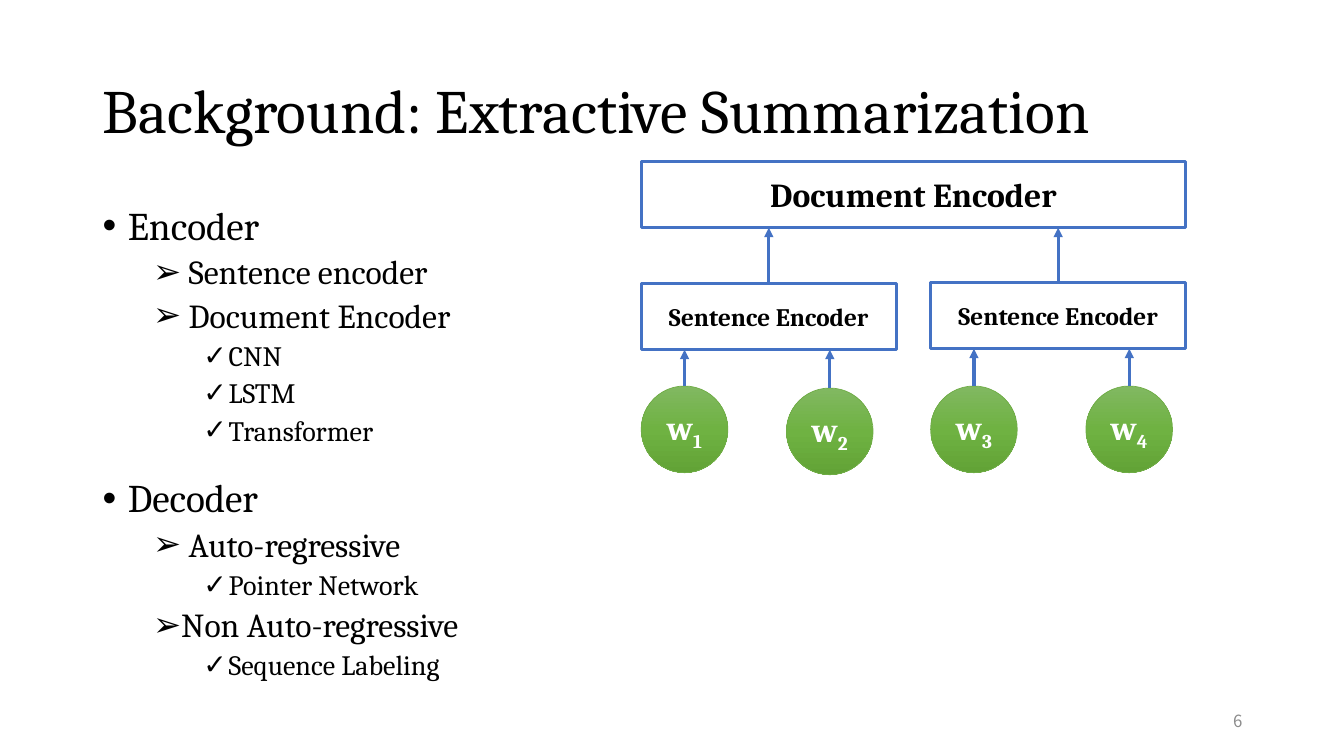
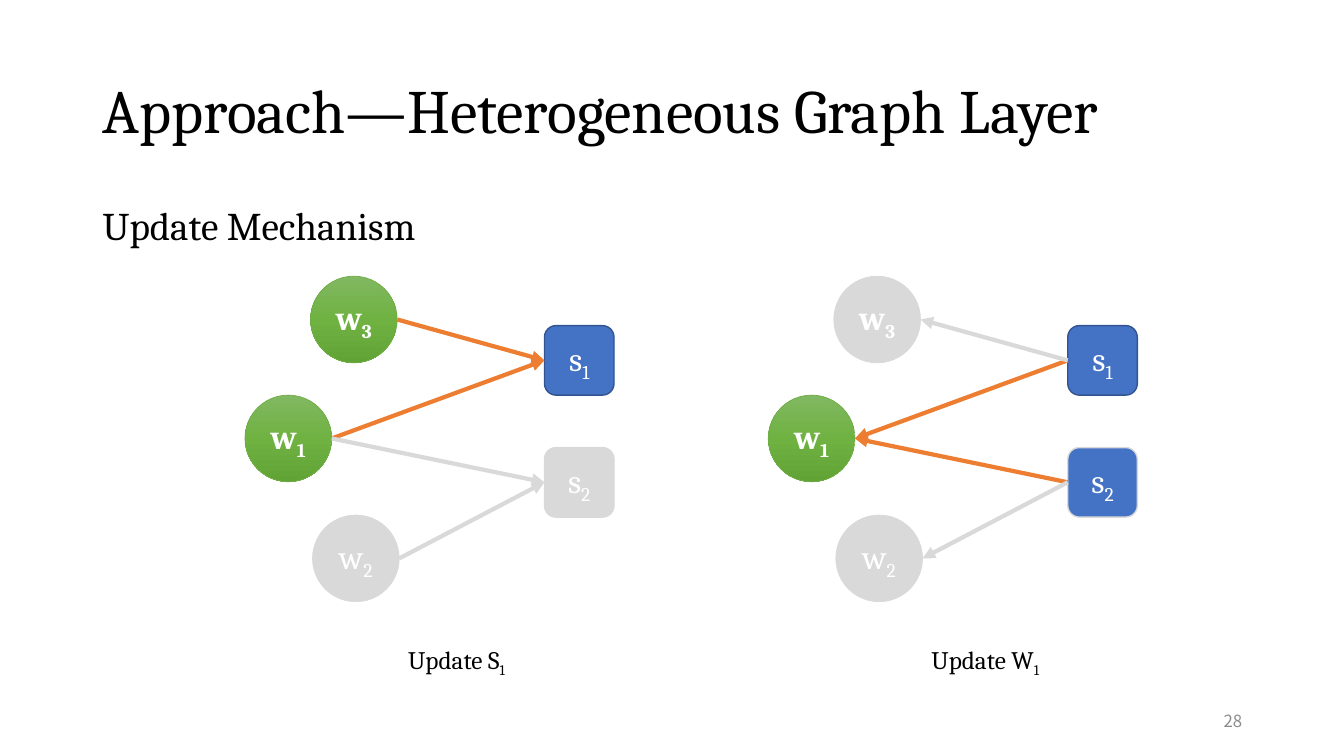
from copy import deepcopy

from lxml.etree import SubElement
from pptx import Presentation
from pptx.dml.color import RGBColor
from pptx.enum.shapes import MSO_CONNECTOR as Connector, MSO_SHAPE as Shape
from pptx.enum.text import MSO_ANCHOR as Anchor, PP_ALIGN as Align
from pptx.oxml.ns import qn
from pptx.util import Inches, Pt

# Shared style
BLACK = RGBColor(0x00, 0x00, 0x00)
WHITE = RGBColor(0xFF, 0xFF, 0xFF)
BLUE = RGBColor(0x44, 0x72, 0xC4)
DARK_BLUE = RGBColor(0x32, 0x54, 0x91)
GREEN = RGBColor(0x70, 0xAD, 0x47)
ORANGE = RGBColor(0xED, 0x7D, 0x31)
PALE = RGBColor(0xD9, 0xD9, 0xD9)
GREY = RGBColor(0x8C, 0x8C, 0x8C)
GREEN_STOPS = [
    (0, RGBColor(0x81, 0xB8, 0x61)),
    (0.5, RGBColor(0x6F, 0xB2, 0x42)),
    (1, RGBColor(0x62, 0xA3, 0x36)),
]
SERIF, SANS = "Cambria", "Noto Sans CJK SC"
MARGIN, CONTENT_WIDTH = 0.92, 11.5
WORD_SIZE, SENTENCE_SIZE = 0.86, 0.69

# Outline levels: bullet, left indent, text size, space before
LEVELS = [("•", 0.25, 28, 10), ("➢", 0.75, 24, 5), ("✓", 1.25, 20, 5)]

# Slide 1 content
ENCODER_OUTLINE = [
    (0, "Encoder"), (1, " Sentence encoder"), (1, " Document Encoder"),
    (2, "CNN"), (2, "LSTM"), (2, "Transformer"),
]
DECODER_OUTLINE = [
    (0, "Decoder"), (1, " Auto-regressive"), (2, "Pointer Network"),
    (1, "Non Auto-regressive"), (2, "Sequence Labeling"),
]
DIAGRAM_LEFT, DIAGRAM_WIDTH, BOX_HEIGHT = 6.36, 5.4, 0.66
DOCUMENT_TOP, SENTENCE_WIDTH = 1.6, 2.53
# Each sentence encoder: top, then its words with their left and top
SENTENCES = [
    (2.81, [("w1", 6.36, 3.83), ("w2", 7.8, 3.85)]),
    (2.8, [("w3", 9.23, 3.83), ("w4", 10.77, 3.83)]),
]

# Slide 2 content
NODES = {
    "w3": (3.08, 2.74), "w1": (2.43, 3.92), "w2": (3.1, 5.11),
    "s1": (5.4, 3.23), "s2": (5.4, 4.44),
}
BOLD_NODES = ("w1", "w3")
EDGES = [("w3", "s1"), ("w1", "s1"), ("w1", "s2"), ("w2", "s2")]
PANEL_STEP, CAPTION_LEFT, CAPTION_TOP = 5.19, 3.95, 6.34
# Each panel: caption, updated node, lit nodes, arrows run towards words
PANELS = [
    ("Update S1", "s1", ("w1", "w3", "s1"), False),
    ("Update W1", "w1", ("w1", "s1", "s2"), True),
]


def style(paragraph, size, color=BLACK, bold=False, align=None, name=SERIF):
    font = paragraph.font
    font.name, font.size, font.bold = name, Pt(size), bold
    font.color.rgb = color
    paragraph.alignment = align


def write_label(paragraph, label):
    """Write a label whose last character is a subscript."""
    paragraph.add_run().text = label[:-1]
    subscript = paragraph.add_run()
    subscript.text = label[-1]
    subscript.font._element.set("baseline", "-25000")


def add_text_frame(slide, left, top, width, height, anchor=Anchor.TOP, wrap=True):
    box = slide.shapes.add_textbox(*map(Inches, (left, top, width, height)))
    frame = box.text_frame
    frame.word_wrap, frame.vertical_anchor = wrap, anchor
    return frame


def add_line_of_text(slide, text, place, size, space_before=0):
    anchor = Anchor.TOP if space_before else Anchor.MIDDLE
    paragraph = add_text_frame(slide, *place, anchor).paragraphs[0]
    paragraph.text = text
    paragraph.line_spacing, paragraph.space_before = 0.9, Pt(space_before)
    style(paragraph, size)


def add_outline(slide, top, items):
    frame = add_text_frame(slide, MARGIN, top, CONTENT_WIDTH, 2.56)
    for index, (level, text) in enumerate(items):
        paragraph = frame.add_paragraph() if index else frame.paragraphs[0]
        bullet, indent, size, space_before = LEVELS[level]
        paragraph.text, paragraph.level = text, level
        properties = paragraph._p.get_or_add_pPr()
        properties.set("marL", str(Inches(indent)))
        properties.set("indent", str(Inches(-0.25)))
        SubElement(properties, qn("a:buFont"), typeface="Arial")
        SubElement(properties, qn("a:buChar"), char=bullet)
        paragraph.line_spacing, paragraph.space_before = 0.9, Pt(space_before)
        style(paragraph, size)


def fill_green(fill):
    fill.gradient()
    fill.gradient_angle = 270
    first = fill.gradient_stops[0]._gs
    first.addnext(deepcopy(first))
    for stop, (position, color) in zip(fill.gradient_stops, GREEN_STOPS):
        stop.position, stop.color.rgb = position, color


def add_shape(slide, kind, place, fill, line, line_width):
    shape = slide.shapes.add_shape(kind, *map(Inches, place))
    shape.shadow.inherit = False
    if fill == GREEN:
        fill_green(shape.fill)
    else:
        shape.fill.solid()
        shape.fill.fore_color.rgb = fill
    shape.line.color.rgb, shape.line.width = line, Pt(line_width)
    shape.text_frame.vertical_anchor = Anchor.MIDDLE
    return shape


def add_box(slide, text, left, top, width, size):
    place = (left, top, width, BOX_HEIGHT)
    box = add_shape(slide, Shape.RECTANGLE, place, WHITE, BLUE, 2.25)
    box.text_frame.text = text
    style(box.text_frame.paragraphs[0], size, BLACK, True, Align.CENTER)


def add_node(slide, label, left, top, fill=GREEN, line=None, bold=True):
    is_word = label.startswith("w")
    kind = Shape.OVAL if is_word else Shape.ROUNDED_RECTANGLE
    size = WORD_SIZE if is_word else SENTENCE_SIZE
    place = (left, top, size, size)
    node = add_shape(slide, kind, place, fill, line or fill, 0.5 if is_word else 1)
    paragraph = node.text_frame.paragraphs[0]
    write_label(paragraph, label)
    style(paragraph, 24, WHITE, bold, Align.CENTER)


def add_arrow(slide, start, end, color, width):
    points = map(Inches, (*start, *end))
    arrow = slide.shapes.add_connector(Connector.STRAIGHT, *points)
    arrow.line.color.rgb, arrow.line.width = color, Pt(width)
    SubElement(arrow.line._get_or_add_ln(), qn("a:tailEnd"), type="triangle")
    SubElement(arrow._element.spPr, qn("a:effectLst"))


def add_slide(presentation, title, number):
    slide = presentation.slides.add_slide(presentation.slide_layouts[6])
    add_line_of_text(slide, title, (MARGIN, 0.4, CONTENT_WIDTH, 1.45), 44)
    frame = add_text_frame(slide, 9.42, 6.95, 3, 0.4, Anchor.MIDDLE)
    frame.text = str(number)
    style(frame.paragraphs[0], 12, GREY, align=Align.RIGHT, name=SANS)
    return slide


def build_background(presentation):
    slide = add_slide(presentation, "Background: Extractive Summarization", 6)
    add_outline(slide, 2, ENCODER_OUTLINE)
    add_outline(slide, 4.7, DECODER_OUTLINE)

    # Encoder hierarchy: words, sentences, document
    add_box(slide, "Document Encoder", DIAGRAM_LEFT, DOCUMENT_TOP, DIAGRAM_WIDTH, 24)
    step = DIAGRAM_WIDTH - SENTENCE_WIDTH
    for index, (top, words) in enumerate(SENTENCES):
        left = DIAGRAM_LEFT + index * step
        center = left + SENTENCE_WIDTH / 2
        add_box(slide, "Sentence Encoder", left, top, SENTENCE_WIDTH, 18)
        document_bottom = DOCUMENT_TOP + BOX_HEIGHT
        add_arrow(slide, (center, top), (center, document_bottom), BLUE, 2.25)
        for label, word_left, word_top in words:
            add_node(slide, label, word_left, word_top)
            x = word_left + WORD_SIZE / 2
            add_arrow(slide, (x, word_top), (x, top + BOX_HEIGHT), BLUE, 2.25)


def add_panel(slide, offset, caption, updated, lit, to_words):
    for label, (left, top) in NODES.items():
        is_word = label.startswith("w")
        fill = (GREEN if is_word else BLUE) if label in lit else PALE
        line = DARK_BLUE if label == "s1" else PALE if label == "s2" else fill
        add_node(slide, label, left + offset, top, fill, line, label in BOLD_NODES)

    # Arrows at the updated node come first, below the pale ones
    for word, sentence in sorted(EDGES, key=lambda edge: updated not in edge):
        word_left, word_top = NODES[word]
        sentence_left, sentence_top = NODES[sentence]
        ends = [
            (word_left + WORD_SIZE + offset, word_top + WORD_SIZE / 2),
            (sentence_left + offset, sentence_top + SENTENCE_SIZE / 2),
        ]
        if to_words:
            ends.reverse()
        color = ORANGE if updated in (word, sentence) else PALE
        add_arrow(slide, *ends, color, 3)

    place = (CAPTION_LEFT + offset, CAPTION_TOP, 1.3, 0.4)
    paragraph = add_text_frame(slide, *place, wrap=False).paragraphs[0]
    write_label(paragraph, caption)
    style(paragraph, 18, align=Align.LEFT)


def build_graph_layer(presentation):
    slide = add_slide(presentation, "Approach—Heterogeneous Graph Layer", 28)
    place = (MARGIN, 2, CONTENT_WIDTH, 1.06)
    add_line_of_text(slide, "Update Mechanism", place, 28, space_before=10)
    for index, panel in enumerate(PANELS):
        add_panel(slide, index * PANEL_STEP, *panel)


def main():
    presentation = Presentation()
    presentation.slide_width, presentation.slide_height = Inches(13.33), Inches(7.5)
    build_background(presentation)
    build_graph_layer(presentation)
    presentation.save("out.pptx")


if __name__ == "__main__":
    main()
